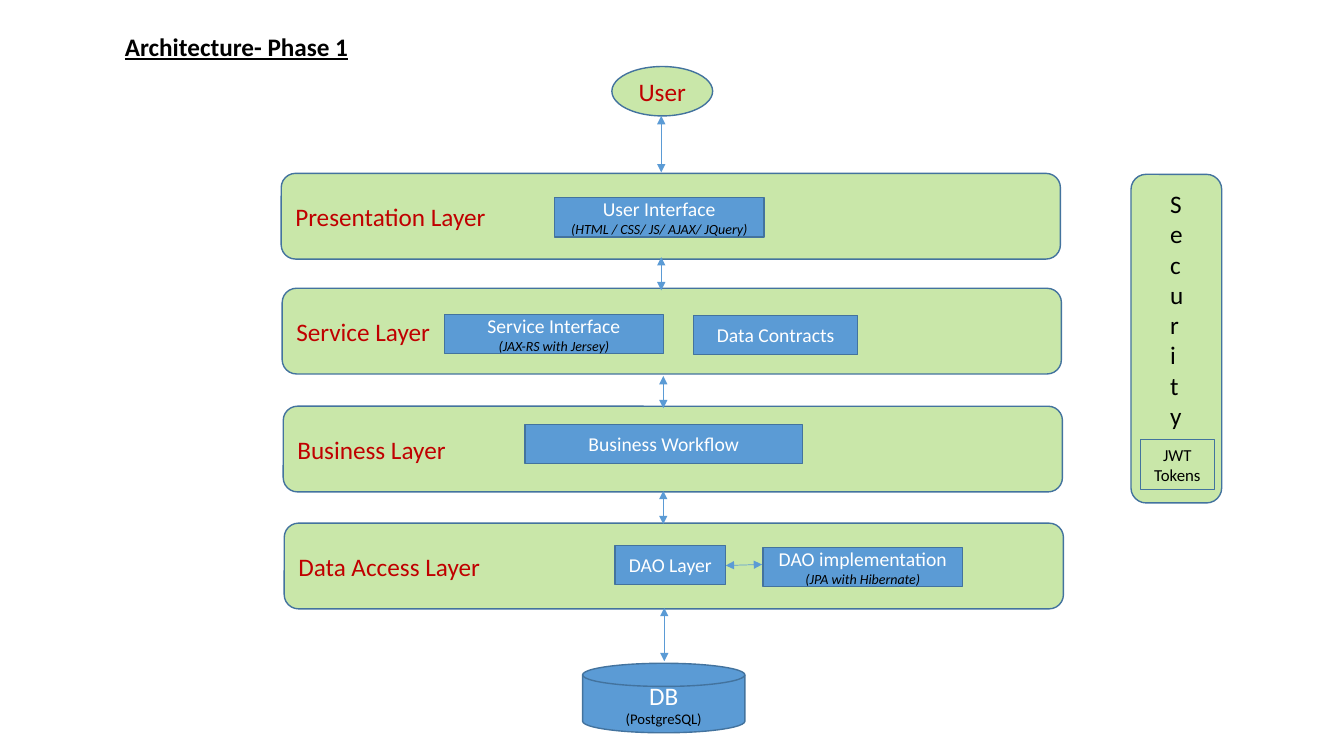
from lxml import etree
from pptx import Presentation
from pptx import util as u
from pptx.dml.color import RGBColor
from pptx.enum import shapes, text
from pptx.oxml import ns

KIND = shapes.MSO_SHAPE
COLORS = {
    "panel": "92D050",
    "block": "5B9BD5",
    "outline": "43739E",
    "heading": "C00000",
    "dark": "000000",
    "light": "FFFFFF",
}
COLUMNS, ROWS = 133.33, 75
PANEL_ALPHA = 49


def color(name):
    return RGBColor.from_string(COLORS[name])


class Diagram:
    font = "Calibri"

    def __init__(self, deck):
        self.column = deck.slide_width / COLUMNS
        self.row = deck.slide_height / ROWS
        self.slide = deck.slides.add_slide(deck.slide_layouts[6])

    def grid(self, left, top, width, height):
        return (u.Emu(round(left * self.column)), u.Emu(round(top * self.row)),
                u.Emu(round(width * self.column)), u.Emu(round(height * self.row)))

    def set_lines(self, frame, lines, align):
        frame.text = "\n".join(line[0] for line in lines)
        for paragraph, (_, size, tone, *styles) in zip(frame.paragraphs, lines):
            paragraph.alignment = align
            for run in paragraph.runs:
                run.font.name = self.font
                run.font.size = u.Pt(size)
                run.font.color.rgb = color(tone)
                run.font.bold = "bold" in styles
                run.font.italic = "italic" in styles
                run.font.underline = "underline" in styles

    def box(self, kind, area, fill=None, lines=(), align=text.PP_ALIGN.CENTER, weight=1):
        shape = self.slide.shapes.add_shape(kind, *self.grid(*area))
        shape.shadow.inherit = False
        shape.line.color.rgb = color("outline")
        shape.line.width = u.Pt(weight)
        if fill:
            shape.fill.solid()
            shape.fill.fore_color.rgb = color(fill)
        else:
            shape.fill.background()
        if fill == "panel":
            solid = shape._element.spPr.find(ns.qn("a:solidFill"))
            etree.SubElement(solid[0], ns.qn("a:alpha"), val=str(PANEL_ALPHA * 1000))
        frame = shape.text_frame
        frame.word_wrap = True
        frame.vertical_anchor = text.MSO_ANCHOR.MIDDLE
        if lines:
            self.set_lines(frame, lines, align)

    def layer(self, left, top, name):
        self.box(KIND.ROUNDED_RECTANGLE, (left, top, 77.3, 8.5), "panel",
                 [(name, 18, "heading")], text.PP_ALIGN.LEFT)

    def component(self, left, top, width, name, technology=None):
        lines = [(name, 14, "light")]
        if technology:
            lines.append((technology, 10, "dark", "italic"))
        self.box(KIND.RECTANGLE, (left, top, width, 3.9), "block", lines)

    def label(self, area, line, wrap):
        frame = self.slide.shapes.add_textbox(*self.grid(*area)).text_frame
        frame.word_wrap = wrap
        self.set_lines(frame, [line], text.PP_ALIGN.LEFT)

    def arrow(self, left, top, right, bottom):
        link = self.slide.shapes.add_connector(
            shapes.MSO_CONNECTOR.STRAIGHT, *self.grid(left, top, right, bottom))
        link.line.color.rgb = color("block")
        link.line.width = u.Pt(0.5)
        outline = link._element.spPr.find(ns.qn("a:ln"))
        for end in ("a:headEnd", "a:tailEnd"):
            etree.SubElement(outline, ns.qn(end), type="triangle")
        etree.SubElement(link._element.spPr, ns.qn("a:effectLst"))


def main():
    deck = Presentation()
    deck.slide_width, deck.slide_height = u.Inches(13.33), u.Inches(7.5)
    diagram = Diagram(deck)

    diagram.label((11.4, 2.6, 24.3, 4),
                  ("Architecture- Phase 1", 18, "dark", "bold", "underline"), False)
    diagram.box(KIND.OVAL, (60.7, 6.6, 10, 4.9), "panel", [("User", 18, "heading")])

    for layer in [
        (27.9, 17.2, "Presentation Layer"),
        (28, 28.6, "Service Layer"),
        (28.1, 40.3, "Business Layer"),
        (28.2, 51.9, "Data Access Layer"),
    ]:
        diagram.layer(*layer)

    for x, top, bottom in [
        (65.6, 11.5, 17.1),
        (65.6, 25.5, 28.8),
        (65.8, 37.3, 40.5),
        (65.8, 48.7, 52),
        (65.9, 60.3, 65.6),
    ]:
        diagram.arrow(x, top, x, bottom)
    diagram.arrow(75.6, 56, 72, 56.1)

    for component in [
        (55, 19.6, 20.8, "User Interface", "(HTML / CSS/ JS/ AJAX/ JQuery)"),
        (44.1, 31.2, 21.7, "Service Interface", "(JAX-RS with Jersey)"),
        (68.8, 31.3, 16.3, "Data Contracts"),
        (52.1, 42.1, 27.5, "Business Workflow"),
        (61, 54.1, 11, "DAO Layer"),
        (75.7, 54.3, 19.8, "DAO implementation", "(JPA with Hibernate)"),
    ]:
        diagram.component(*component)

    diagram.box(KIND.ROUNDED_RECTANGLE, (112.2, 17.3, 9, 32.6), "panel")
    diagram.label((115.1, 18.2, 3.3, 25.2), ("Security", 18, "dark"), True)
    diagram.box(KIND.RECTANGLE, (113.1, 43.6, 7.4, 5),
                lines=[("JWT Tokens", 12, "dark")], weight=0.75)

    diagram.box(KIND.FLOWCHART_MAGNETIC_DISK, (57.8, 65.8, 16.1, 6.9), "block",
                [("DB", 18, "light"), ("(PostgreSQL)", 10.5, "dark")])
    deck.save("out.pptx")


if __name__ == "__main__":
    main()
